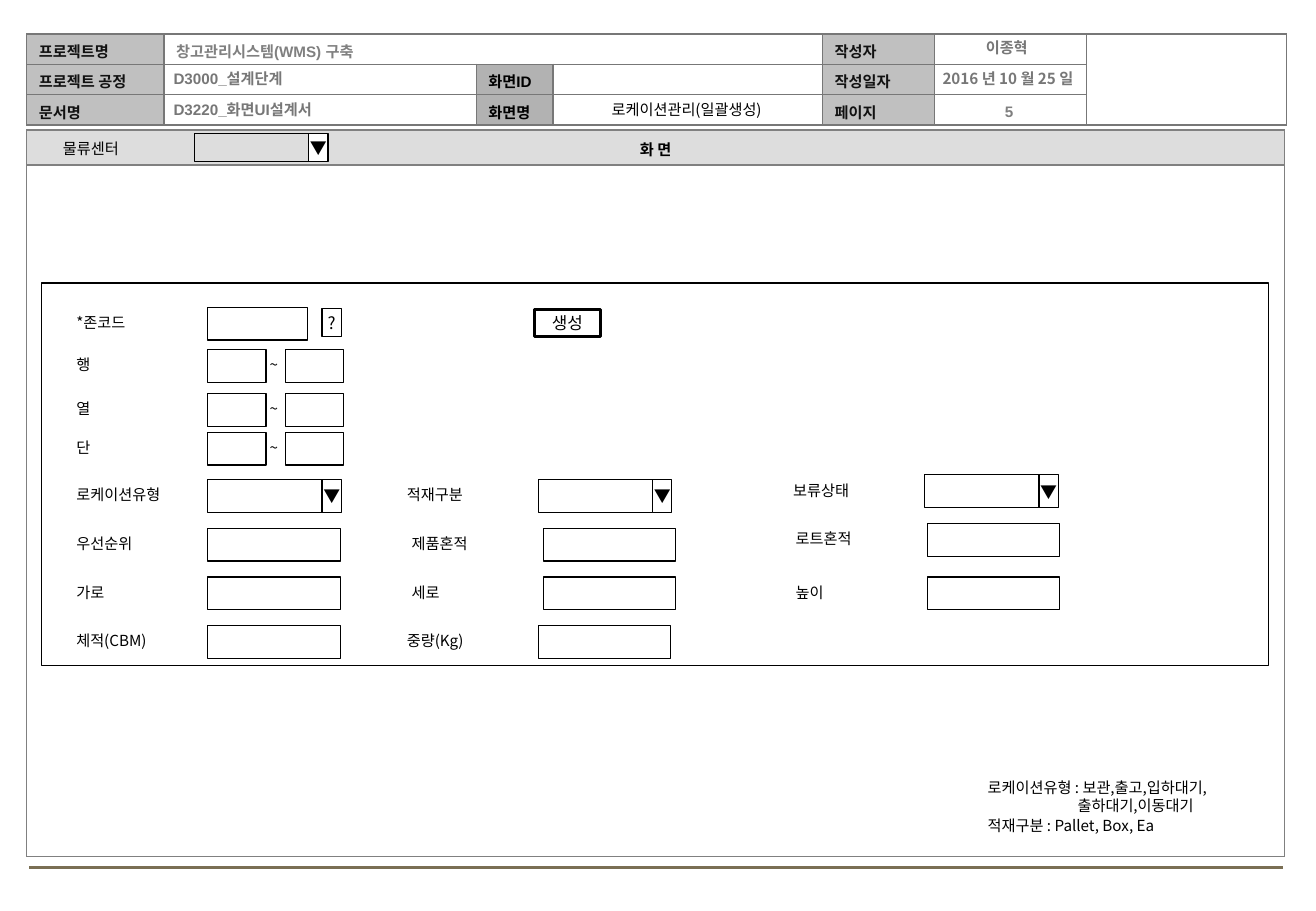
from lxml import etree
from pptx import Presentation
from pptx.dml.color import RGBColor
from pptx.enum.shapes import MSO_CONNECTOR as Connector, MSO_SHAPE as Shape
from pptx.enum.text import MSO_ANCHOR as Anchor, PP_ALIGN as Align
from pptx.oxml.ns import qn
from pptx.util import Inches, Pt

KOREAN = "Noto Sans CJK KR"
GRAY = "777777"
FIELD_OFFSET, FIELD_WIDTH, FIELD_HEIGHT, ARROW_WIDTH = 1.18, 1.09, 0.27, 0.16


def color(value):
    """Turn a hex string into a colour."""
    return RGBColor.from_string(value)


def write(paragraph, text, size=9, font=KOREAN, ink="000000", bold=False, align=Align.LEFT):
    """Put formatted text into a paragraph."""
    paragraph.alignment = align
    if not text:
        etree.SubElement(paragraph._p, qn("a:endParaRPr"), sz=str(size * 100))
        return
    run = paragraph.add_run()
    run.text = text
    run.font.size, run.font.name, run.font.bold = Pt(size), font, bold
    run.font.color.rgb = color(ink)
    east_asian = etree.SubElement(run._r.get_or_add_rPr(), qn("a:ea"))
    east_asian.set("typeface", KOREAN)


def add_label(slide, text, left, top, width=1.17, height=0.25, **style):
    """Add a wrapping text box and return its frame."""
    frame = slide.shapes.add_textbox(*map(Inches, (left, top, width, height))).text_frame
    frame.word_wrap = True
    write(frame.paragraphs[0], text, **style)
    return frame


def add_box(slide, left, top, width, height=FIELD_HEIGHT, text="", fill=None, weight=0.75):
    """Add an outlined rectangle with optional centred text."""
    box = slide.shapes.add_shape(Shape.RECTANGLE, *map(Inches, (left, top, width, height)))
    box.shadow.inherit = False
    box.line.color.rgb, box.line.width = color("000000"), Pt(weight)
    if fill:
        box.fill.solid()
        box.fill.fore_color.rgb = color(fill)
    else:
        box.fill.background()
    if text:
        frame = box.text_frame
        frame.word_wrap, frame.vertical_anchor = False, Anchor.MIDDLE
        frame.margin_left = frame.margin_right = Inches(0.02)
        frame.margin_top = frame.margin_bottom = Inches(0.04)
        write(frame.paragraphs[0], text, size=10, align=Align.CENTER)


def add_grid(slide, left, top, columns, rows):
    """Add a plain table with the given column widths and row heights."""
    area = map(Inches, (left, top, sum(columns), sum(rows)))
    grid = slide.shapes.add_table(len(rows), len(columns), *area).table
    grid.first_row = grid.horz_banding = False
    for column, width in zip(grid.columns, columns):
        column.width = Inches(width)
    for row, height in zip(grid.rows, rows):
        row.height = Inches(height)
    return grid


def format_cell(cell, text="", fill=None, border=GRAY, inset=0.1, **style):
    """Set the text, borders and fill of one cell."""
    cell.vertical_anchor = Anchor.MIDDLE
    cell.margin_left = cell.margin_right = Inches(inset)
    cell.margin_top, cell.margin_bottom = Inches(0.03), 0
    write(cell.text_frame.paragraphs[0], text, **style)
    properties = cell._tc.get_or_add_tcPr()
    for side in ("lnL", "lnR", "lnT", "lnB"):
        edge = etree.SubElement(properties, qn(f"a:{side}"), w=str(Pt(1)))
        solid = etree.SubElement(edge, qn("a:solidFill"))
        etree.SubElement(solid, qn("a:srgbClr"), val=border)
    if fill:
        cell.fill.solid()
        cell.fill.fore_color.rgb = color(fill)
    else:
        cell.fill.background()


def add_field(slide, label, left, top, width=FIELD_WIDTH, height=FIELD_HEIGHT, dropdown=False):
    """Add a label with its input box, optionally a drop-down."""
    add_label(slide, label, left, top)
    box_left = left + FIELD_OFFSET
    add_box(slide, box_left, top, width, height)
    if dropdown:
        arrow_left = box_left + width - ARROW_WIDTH + 0.01
        add_box(slide, arrow_left, top, ARROW_WIDTH, height, "▼", "FFFFFF")


def add_range(slide, label, left, top):
    """Add a label with a from-to pair of input boxes."""
    add_field(slide, label, left, top, width=0.48)
    add_box(slide, left + 1.82, top, 0.48)
    add_label(slide, "~", left + 1.59, top, width=0.31)


def add_header(slide, left, top):
    """Add the document information table and its values."""
    grid = add_grid(slide, left, top, [1.13, 2.57, 0.63, 2.22, 0.92, 1.25, 1.65], [0.25] * 3)
    grid.cell(0, 1).merge(grid.cell(0, 3))
    grid.cell(0, 6).merge(grid.cell(2, 6))
    captions = {
        0: ("C0C0C0", "111111", ["프로젝트명", "프로젝트 공정", "문서명"]),
        2: ("B2B2B2", "000000", ["", "화면ID", "화면명"]),
        4: ("C0C0C0", "111111", ["작성자", "작성일자", "페이지"]),
    }
    for row in range(3):
        for column in range(7):
            fill, ink, names = captions.get(column, (None, "808080", [""] * 3))
            text = "창고관리시스템(WMS) 구축" if (row, column) == (0, 1) else names[row]
            format_cell(grid.cell(row, column), text, fill if text else None,
                        font="Arial", ink=ink, bold=True)
    middle, bottom = top + 0.24, top + 0.5
    phase = dict(font="Arial", ink=GRAY, bold=True)
    add_label(slide, "D3000_설계단계", left + 1.11, middle, 2.6, **phase)
    add_label(slide, "D3220_화면UI설계서", left + 1.11, bottom, 2.6, **phase)
    add_label(slide, "로케이션관리(일괄생성)", left + 4.34, bottom, 2.18, align=Align.CENTER)
    author = dict(ink=GRAY, bold=True, align=Align.CENTER)
    add_label(slide, "이종혁", left + 7.28, top - 0.01, 1.57, **author)
    add_label(slide, "2016 년 10 월 25 일", left + 7.29, middle, 1.57, **author)
    add_label(slide, "5", left + 7.46, top + 0.51, 1.25,
              font="Arial", ink="7F7F7F", bold=True, align=Align.CENTER)


def add_screen(slide, left, top):
    """Add the screen frame with its title bar and centre selector."""
    grid = add_grid(slide, left, top, [10.35], [0.29, 5.69])
    format_cell(grid.cell(0, 0), "화 면", "DDDDDD", "808080", 0.02,
                font="Arial", bold=True, align=Align.CENTER)
    format_cell(grid.cell(1, 0), border="808080")
    add_field(slide, "물류센터", left + 0.2, top + 0.03, height=0.23, dropdown=True)


def add_form(slide, left, top, width, height):
    """Add the location creation form."""
    add_box(slide, left, top, width, height)
    first = left + 0.19
    add_field(slide, "*존코드", first, top + 0.2, width=0.82)
    add_box(slide, first + 2.12, top + 0.21, ARROW_WIDTH, 0.23, "?", "FFFFFF")
    add_box(slide, left + 4.06, top + 0.22, 0.54, 0.22, "생성", "FFFFFF", 2)
    for label, offset in (("행", 0.55), ("열", 0.91), ("단", 1.23)):
        add_range(slide, label, first, top + offset)
    columns = [
        (0.19, 0, 0, ["로케이션유형", "우선순위", "가로", "체적(CBM)"]),
        (2.91, 0.04, 0, ["적재구분", "제품혼적", "세로", "중량(Kg)"]),
        (6.09, 0.02, -0.04, ["보류상태", "로트혼적", "높이"]),
    ]
    for offset, indent, lift, labels in columns:
        for row, label in enumerate(labels):
            shift = indent if row in (1, 2) else 0
            rise = lift if row < 2 else 0
            add_field(slide, label, left + offset + shift, top + 1.62 + 0.4 * row + rise,
                      dropdown=row == 0)


def add_notes_on_types(slide, left, top):
    """Add the explanation of the selectable values."""
    location_types = add_label(slide, "로케이션유형 : 보관,출고,입하대기,", left, top, 2.4, 0.4)
    continued = location_types.add_paragraph()
    properties = continued._p.get_or_add_pPr()
    properties.set("marL", str(Inches(0.74)))
    properties.set("indent", "0")
    write(continued, "출하대기,이동대기")
    add_label(slide, "적재구분 : Pallet, Box, Ea", left, top + 0.31, 2.4)


def add_footer_rule(slide, left, top, width):
    """Add the rule under the screen frame."""
    rule = slide.shapes.add_connector(
        Connector.STRAIGHT, *map(Inches, (left, top, left + width, top)))
    rule.line.color.rgb, rule.line.width = color("7A6F54"), Pt(1.75)
    etree.SubElement(rule._element.spPr, qn("a:effectLst"))


def main():
    """Build and save the slide."""
    deck = Presentation()
    deck.slide_width, deck.slide_height = Inches(10.83), Inches(7.5)
    slide = deck.slides.add_slide(deck.slide_layouts[6])
    add_footer_rule(slide, 0.24, 7.14, 10.32)
    add_screen(slide, 0.22, 1.07)
    add_header(slide, 0.22, 0.28)
    add_form(slide, 0.34, 2.33, 10.1, 3.15)
    add_notes_on_types(slide, 8.03, 6.36)
    deck.save("out.pptx")


if __name__ == "__main__":
    main()
